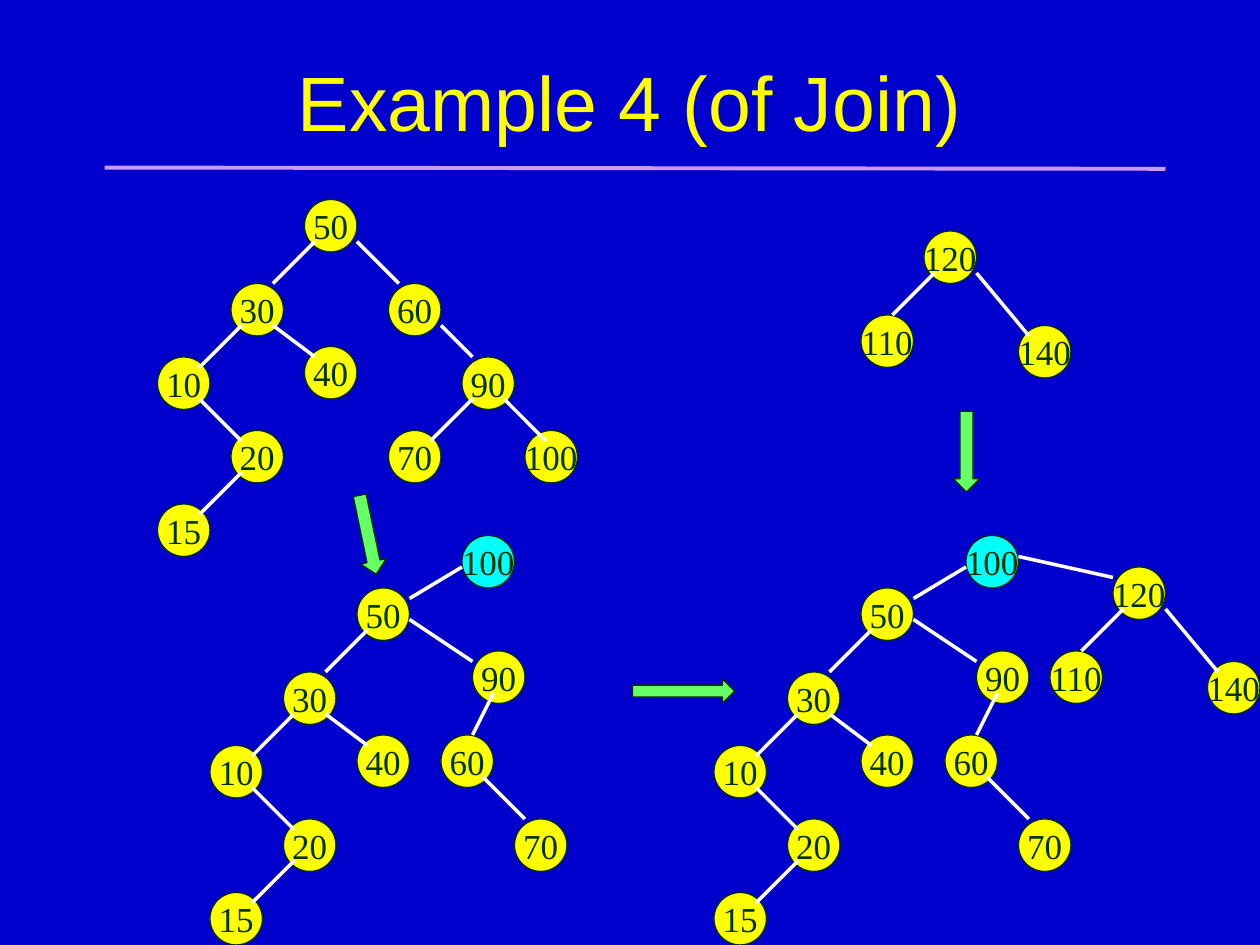
import pptx
import pptx.dml.color
import pptx.enum.shapes
import pptx.enum.text
import pptx.oxml.ns
import pptx.util
from lxml import etree
from pptx.util import Inches

SHAPE = pptx.enum.shapes.MSO_SHAPE
UNITS_PER_INCH = 12
NODE_SIZE = 5
YELLOW, CYAN, GREEN = "FFFF00", "00FFFF", "66FF66"
DARK_GREEN, WHITE, LILAC, BLUE = "003300", "FFFFFF", "CC99FF", "0000CC"

SOURCE_TREE = {
    "nodes": [("15", 0, 29), ("10", 0, 15), ("50", 14, 0), ("90", 29, 15),
              ("60", 22, 8), ("20", 7, 22), ("40", 14, 14), ("30", 7, 8),
              ("100", 35, 22), ("70", 22, 22)],
    "edges": [(11, 8, 15, 4), (4, 16, 8, 12), (26, 23, 30, 19),
              (4, 30, 8, 26), (23, 8, 19, 4), (30, 15, 27, 12),
              (37, 23, 33, 19), (15, 15, 11, 12), (8, 23, 4, 19)],
}
SMALL_TREE = {
    "nodes": [("120", 0, 0), ("110", -6, 8), ("140", 9, 9)],
    "edges": [(10, 10, 5, 4), (-3, 8, 1, 4)],
}
ROTATED_TREE = {
    "nodes": [("15", 0, 34), ("10", 0, 20), ("50", 14, 5), ("20", 7, 27),
              ("40", 14, 19), ("30", 7, 13), ("100", 24, 0), ("90", 25, 11),
              ("60", 22, 19), ("70", 29, 27)],
    "edges": [(11, 13, 15, 9), (4, 21, 8, 17), (4, 35, 8, 31),
              (15, 20, 11, 17), (8, 28, 4, 24), (19, 6, 24, 3),
              (25, 12, 19, 8), (30, 27, 26, 23), (25, 19, 27, 15)],
    "highlight": "100",
}
TREES = [(SOURCE_TREE, 15, 19), (SMALL_TREE, 88, 22), (ROTATED_TREE, 20, 51),
         (ROTATED_TREE, 68, 51), (SMALL_TREE, 106, 54)]
JOIN_EDGE = (106, 55, 97, 53)
ARROWS = [(2.6, 4.14, 0.64, 0.21, 78.2), (5.02, 5.39, 0.81, 0.19, 0),
          (7.35, 3.48, 0.64, 0.21, 90)]


def color(value):
    return pptx.dml.color.RGBColor.from_string(value)


def grid(units):
    return Inches(units / UNITS_PER_INCH)


def write_text(shape, text, *, size, font, text_color, wrap=False, inset=0):
    frame = shape.text_frame
    frame.word_wrap = wrap
    frame.vertical_anchor = pptx.enum.text.MSO_ANCHOR.MIDDLE
    frame.margin_left = frame.margin_right = Inches(inset)
    frame.margin_top = frame.margin_bottom = Inches(inset / 2)
    paragraph = frame.paragraphs[0]
    paragraph.alignment = pptx.enum.text.PP_ALIGN.CENTER
    run = paragraph.add_run()
    run.text = text
    run.font.size = pptx.util.Pt(size)
    run.font.name = font
    run.font.color.rgb = color(text_color)


def add_filled_shape(shapes, kind, bounds, fill):
    shape = shapes.add_shape(kind, *bounds)
    shape.shadow.inherit = False
    shape.fill.solid()
    shape.fill.fore_color.rgb = color(fill)
    shape.line.color.rgb = color(DARK_GREEN)
    shape.line.width = pptx.util.Pt(0.75)
    return shape


def add_line(shapes, ends, line_color=WHITE, width=2):
    line = shapes.add_connector(pptx.enum.shapes.MSO_CONNECTOR.STRAIGHT, *ends)
    line.line.color.rgb = color(line_color)
    line.line.width = pptx.util.Pt(width)
    properties = line.element.find(pptx.oxml.ns.qn("p:spPr"))
    etree.SubElement(properties, pptx.oxml.ns.qn("a:effectLst"))


def add_tree(slide, tree, left, top):
    shapes = slide.shapes.add_group_shape().shapes
    for label, x, y in tree["nodes"]:
        fill = CYAN if label == tree.get("highlight") else YELLOW
        bounds = [grid(value) for value in (left + x, top + y, NODE_SIZE, NODE_SIZE)]
        node = add_filled_shape(shapes, SHAPE.OVAL, bounds, fill)
        write_text(node, label, size=20, font="Times New Roman", text_color=DARK_GREEN)
    for x1, y1, x2, y2 in tree["edges"]:
        add_line(shapes, [grid(value) for value in (left + x1, top + y1, left + x2, top + y2)])


def main():
    presentation = pptx.Presentation()
    presentation.slide_width, presentation.slide_height = Inches(10), Inches(7.5)
    slide = presentation.slides.add_slide(presentation.slide_layouts[6])
    slide.background.fill.solid()
    slide.background.fill.fore_color.rgb = color(BLUE)

    title = slide.shapes.add_textbox(Inches(0.75), Inches(0.17), Inches(8.5), Inches(1.25))
    write_text(title, "Example 4 (of Join)", size=44, font="Arial",
               text_color=YELLOW, wrap=True, inset=0.1)
    add_line(slide.shapes, [Inches(value) for value in (0.83, 1.33, 9.25, 1.34)], LILAC, 2.25)

    for tree, left, top in TREES:
        add_tree(slide, tree, left, top)
    add_line(slide.shapes, [grid(value) for value in JOIN_EDGE])

    for *bounds, rotation in ARROWS:
        arrow = add_filled_shape(slide.shapes, SHAPE.RIGHT_ARROW,
                                 [Inches(value) for value in bounds], GREEN)
        arrow.rotation = rotation

    presentation.save("out.pptx")


if __name__ == "__main__":
    main()
